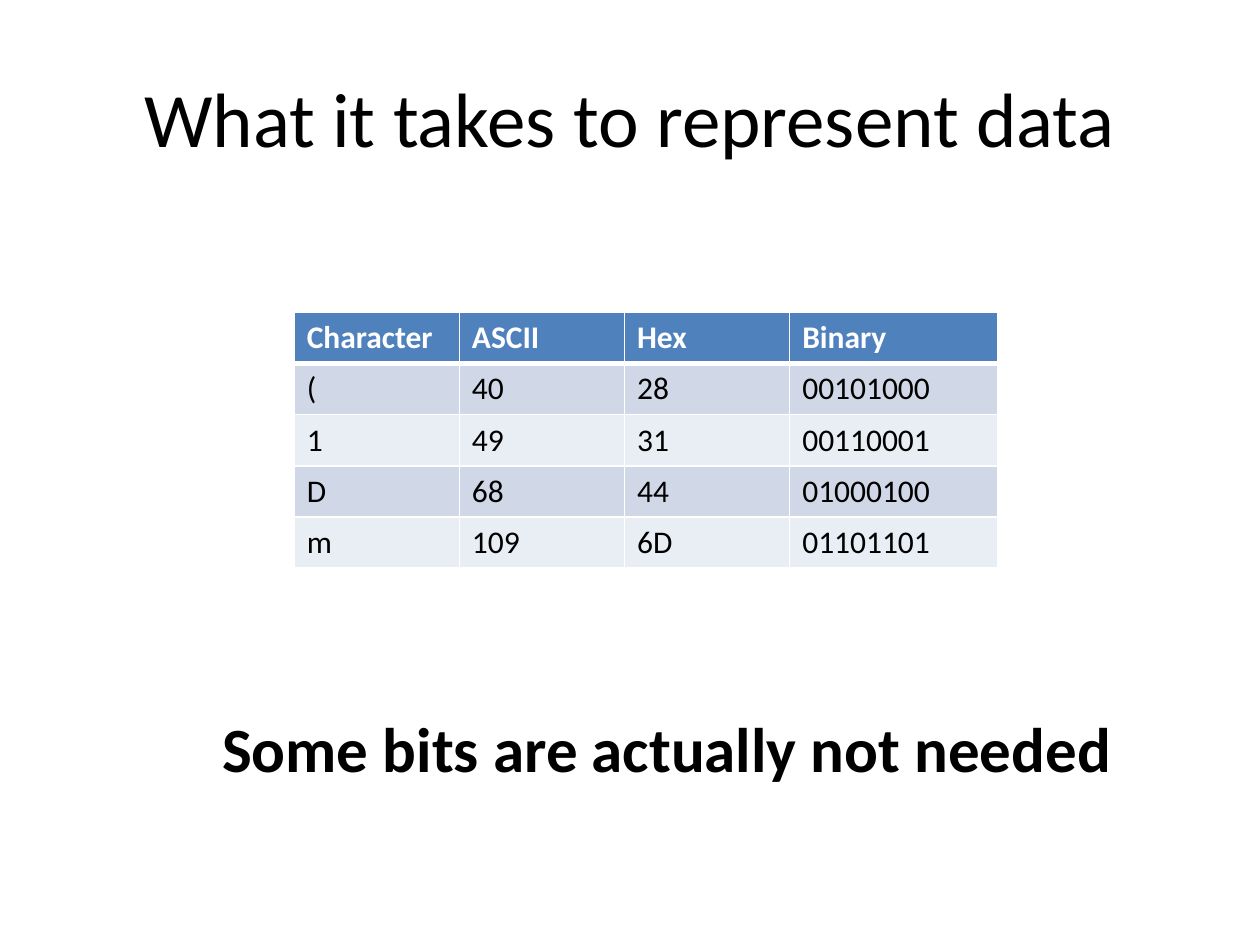
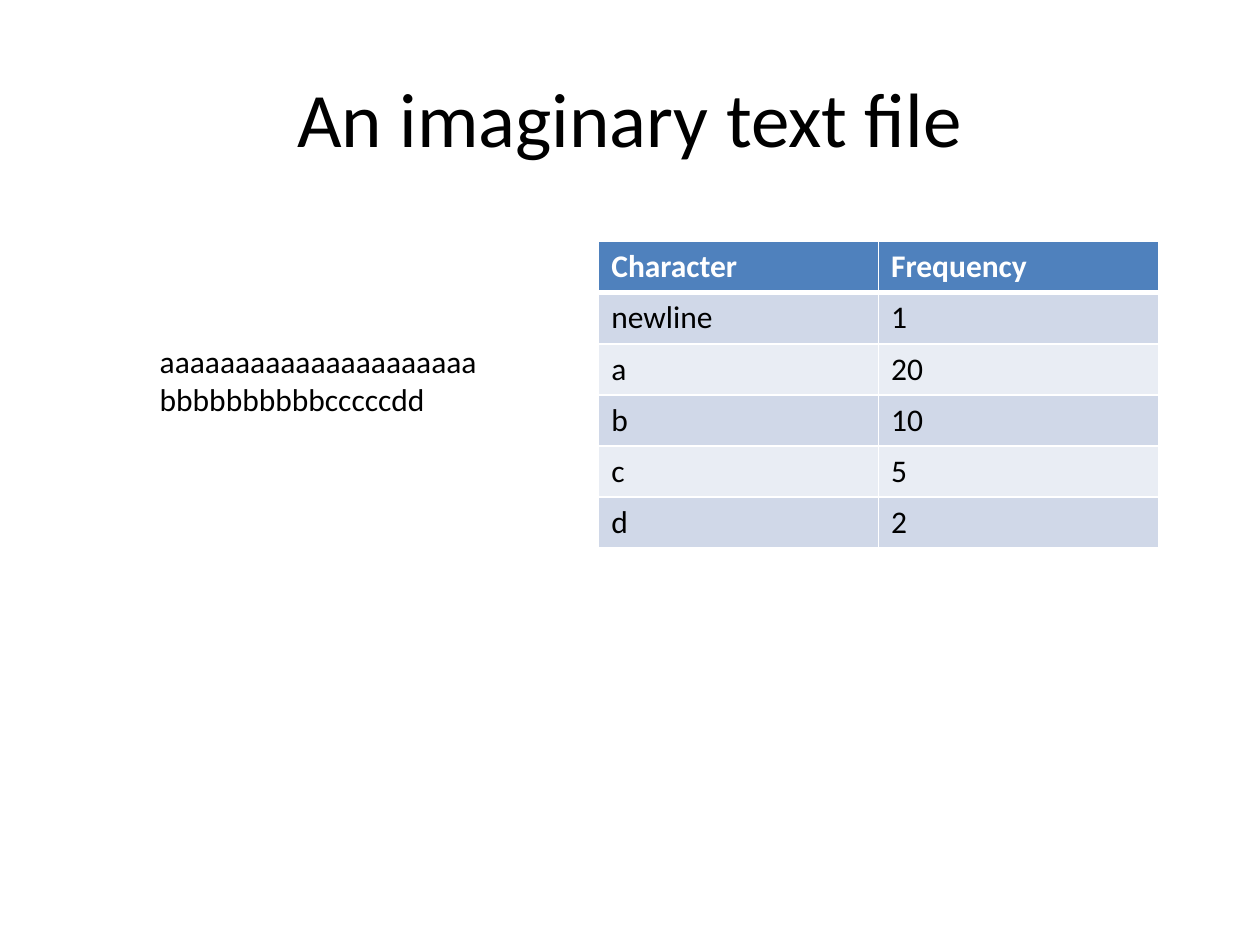
from lxml.etree import SubElement
from pptx import Presentation
from pptx.dml.color import RGBColor
from pptx.enum.text import MSO_ANCHOR, MSO_AUTO_SIZE, PP_ALIGN
from pptx.oxml.ns import qn
from pptx.util import Cm, Pt

FONT = "Calibri"
BLACK = RGBColor(0x00, 0x00, 0x00)
WHITE = RGBColor(0xFF, 0xFF, 0xFF)
HEADER_BLUE = RGBColor(0x4F, 0x81, 0xBD)
BANDS = (RGBColor(0xD0, 0xD8, 0xE8), RGBColor(0xE9, 0xED, 0xF4))

TITLE_ONLY_LAYOUT = 5
TITLE_BOX = (Cm(1.27), Cm(0.76), Cm(22.86), Cm(3.18))
ROW_HEIGHT = Cm(1.03)
THIN, THICK = Pt(1), Pt(3)

SLIDES = [
    {
        "title": "What it takes to represent data",
        "table": {
            "position": (Cm(5.93), Cm(6.3)),
            "column_widths": (Cm(3.33), Cm(3.33), Cm(3.33), Cm(4.19)),
            "rows": [
                ("Character", "ASCII", "Hex", "Binary"),
                ("(", "40", "28", "00101000"),
                ("1", "49", "31", "00110001"),
                ("D", "68", "44", "01000100"),
                ("m", "109", "6D", "01101101"),
            ],
        },
        "note": {
            "lines": ["Some bits are actually not needed"],
            "box": (Cm(4.23), Cm(14.17), Cm(18.64), Cm(1.8)),
            "size": Pt(36),
            "bold": True,
        },
    },
    {
        "title": "An imaginary text file",
        "table": {
            "position": (Cm(12.07), Cm(4.87)),
            "column_widths": (Cm(5.64), Cm(5.64)),
            "rows": [
                ("Character", "Frequency"),
                ("newline", "1"),
                ("a", "20"),
                ("b", "10"),
                ("c", "5"),
                ("d", "2"),
            ],
        },
        "note": {
            "lines": ["aaaaaaaaaaaaaaaaaaaaa", "bbbbbbbbbbcccccdd"],
            "box": (Cm(2.97), Cm(6.78), Cm(6.96), Cm(1.8)),
            "size": Pt(18),
            "bold": False,
        },
    },
]


def add_text(paragraph, text, size, color=BLACK, bold=False):
    run = paragraph.add_run()
    run.text = text
    run.font.name = FONT
    run.font.size = size
    run.font.bold = bold
    run.font.color.rgb = color


def add_title(slide, text):
    title = slide.shapes.title
    title.left, title.top, title.width, title.height = TITLE_BOX
    title.text_frame.vertical_anchor = MSO_ANCHOR.MIDDLE
    paragraph = title.text_frame.paragraphs[0]
    paragraph.alignment = PP_ALIGN.CENTER
    add_text(paragraph, text, Pt(44))


def set_borders(cell, top, bottom):
    """Draw white cell borders; call before the fill, which must follow them in the XML."""
    properties = cell._tc.get_or_add_tcPr()
    for side, width in (("L", THIN), ("R", THIN), ("T", top), ("B", bottom)):
        line = SubElement(properties, qn(f"a:ln{side}"), w=str(int(width)))
        fill = SubElement(line, qn("a:solidFill"))
        SubElement(fill, qn("a:srgbClr"), val=str(WHITE))


def add_data_table(slide, position, column_widths, rows):
    frame = slide.shapes.add_table(
        len(rows), len(column_widths), *position,
        sum(column_widths), ROW_HEIGHT * len(rows))
    table = frame.table
    for column, width in zip(table.columns, column_widths):
        column.width = width
    for row_index, values in enumerate(rows):
        table.rows[row_index].height = ROW_HEIGHT
        is_header = row_index == 0
        fill_color = HEADER_BLUE if is_header else BANDS[(row_index - 1) % 2]
        for column_index, value in enumerate(values):
            cell = table.cell(row_index, column_index)
            set_borders(cell,
                        top=THICK if row_index == 1 else THIN,
                        bottom=THICK if is_header else THIN)
            cell.fill.solid()
            cell.fill.fore_color.rgb = fill_color
            add_text(cell.text_frame.paragraphs[0], value, Pt(18),
                     WHITE if is_header else BLACK, is_header)


def add_note(slide, lines, box, size, bold):
    text_frame = slide.shapes.add_textbox(*box).text_frame
    text_frame.word_wrap = False
    text_frame.auto_size = MSO_AUTO_SIZE.SHAPE_TO_FIT_TEXT
    for index, line in enumerate(lines):
        paragraph = text_frame.add_paragraph() if index else text_frame.paragraphs[0]
        add_text(paragraph, line, size, bold=bold)


def main():
    presentation = Presentation()
    presentation.slide_width, presentation.slide_height = Cm(25.4), Cm(19.05)
    layout = presentation.slide_layouts[TITLE_ONLY_LAYOUT]
    for content in SLIDES:
        slide = presentation.slides.add_slide(layout)
        add_title(slide, content["title"])
        add_data_table(slide, **content["table"])
        add_note(slide, **content["note"])
    presentation.save("out.pptx")


if __name__ == "__main__":
    main()
